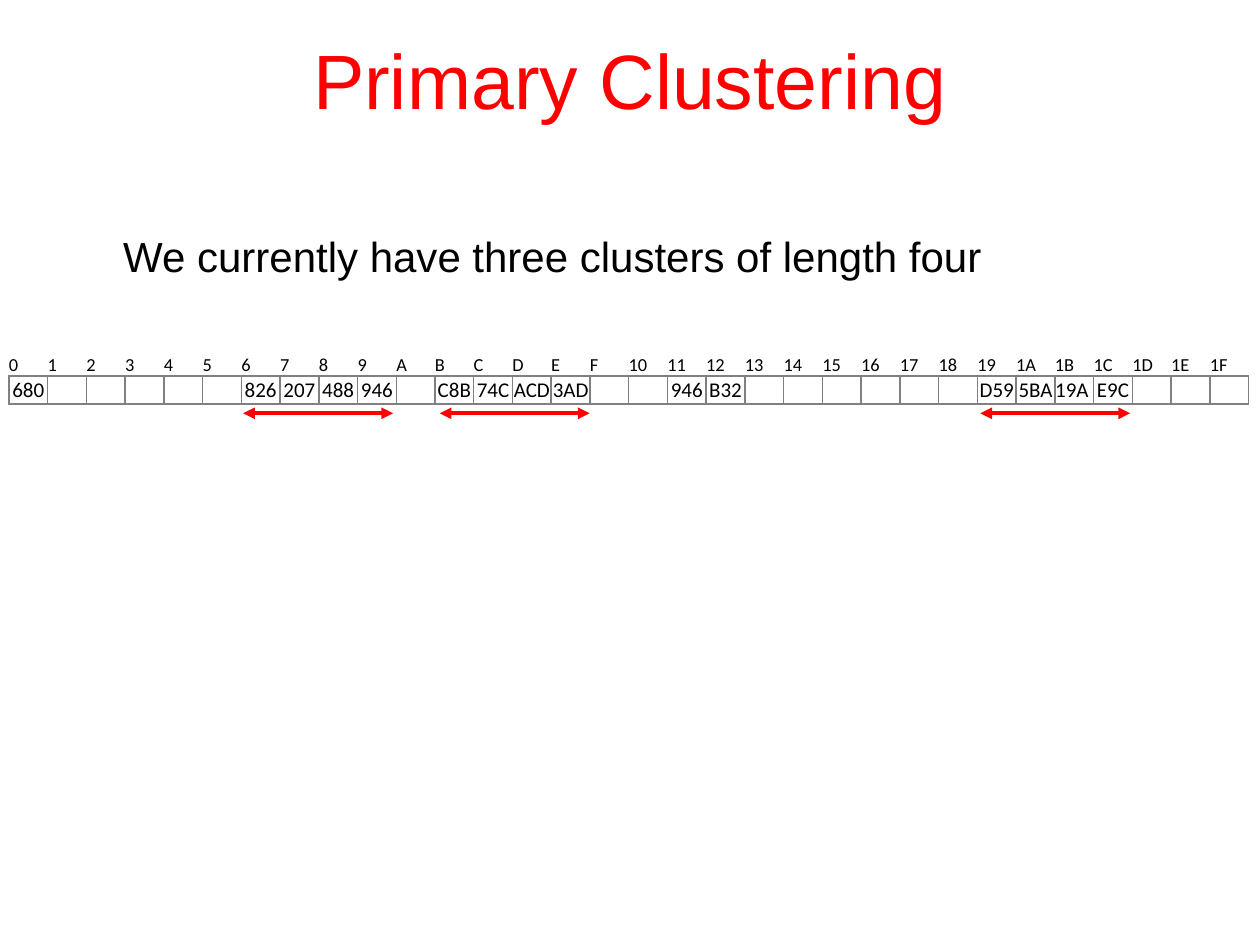
"""Build the Primary Clustering slide with its 32-bin hash table."""
import lxml.etree
import pptx
import pptx.dml.color
import pptx.enum.shapes
import pptx.enum.text
import pptx.oxml
import pptx.oxml.ns
import pptx.util

Inches = pptx.util.Inches
Pt = pptx.util.Pt
qn = pptx.oxml.ns.qn

COLORS = {"text": "000000", "accent": "FF0000", "border": "808080"}
NO_STYLE = "{2D5ABB26-0587-4C30-8999-92F81FD0307C}"
BIN_COUNT = 32
TABLE_WIDTH = 9.85
BIN_VALUES = {
    0x0: "680", 0x6: "826", 0x7: "207", 0x8: "488", 0x9: "946",
    0xB: "C8B", 0xC: "74C", 0xD: "ACD", 0xE: "3AD", 0x11: "946", 0x12: "B32",
    0x19: "D59", 0x1A: "5BA", 0x1B: "19A ", 0x1C: "E9C",
}
CLUSTER_STARTS = (1.93, 3.49, 7.78)
CLUSTER_LENGTH = 1.19
ARROW_TOP = 3.28


def rgb(name):
    return pptx.dml.color.RGBColor.from_string(COLORS[name])


def format_text(paragraph, size, font, color):
    for span in paragraph.runs:
        span.font.size = Pt(size)
        span.font.name = font
        span.font.color.rgb = rgb(color)


def add_text(page, text, place, size, color):
    box = page.shapes.add_textbox(*(Inches(length) for length in place))
    frame = box.text_frame
    frame.word_wrap = True
    frame.text = text
    format_text(frame.paragraphs[0], size, "Arial", color)
    return frame


def add_title(page):
    frame = add_text(page, "Primary Clustering", (0.5, 0, 9, 1.25), 44, "accent")
    frame.vertical_anchor = pptx.enum.text.MSO_ANCHOR.MIDDLE
    frame.paragraphs[0].alignment = pptx.enum.text.PP_ALIGN.CENTER


def add_statement(page):
    text = "\tWe currently have three clusters of length four"
    frame = add_text(page, text, (0.5, 1.75, 9, 4.95), 24, "text")
    frame.margin_top = Inches(0.08)
    properties = frame.paragraphs[0]._p.get_or_add_pPr()
    properties.set("marL", str(Inches(0.38)))
    properties.set("indent", str(Inches(-0.38)))


def set_borders(cell, sides):
    properties = cell._tc.get_or_add_tcPr()
    for side in sides:
        line = lxml.etree.SubElement(properties, qn(f"a:ln{side}"), w=str(Pt(1)))
        fill = lxml.etree.SubElement(line, qn("a:solidFill"))
        lxml.etree.SubElement(fill, qn("a:srgbClr"), val=COLORS["border"])


def fill_cell(cell, text, size, alignment, sides):
    cell.margin_left = cell.margin_right = cell.margin_top = cell.margin_bottom = 0
    cell.vertical_anchor = pptx.enum.text.MSO_ANCHOR.MIDDLE
    set_borders(cell, sides)
    cell.fill.background()
    paragraph = cell.text_frame.paragraphs[0]
    paragraph.alignment = alignment
    if text:
        paragraph.text = text
        format_text(paragraph, size, "Calibri", "text")
    else:
        lxml.etree.SubElement(paragraph._p, qn("a:endParaRPr"), sz=str(size * 100))


def add_hash_table(page):
    frame = page.shapes.add_table(
        2, BIN_COUNT, Inches(0.07), Inches(2.81), Inches(TABLE_WIDTH), Inches(0.38))
    table = frame.table
    table.first_row = table.horz_banding = False
    frame._element.find(".//" + qn("a:tableStyleId")).text = NO_STYLE
    table.rows[0].height = Inches(0.16)
    table.rows[1].height = Inches(0.22)
    align = pptx.enum.text.PP_ALIGN
    for index in range(BIN_COUNT):
        table.columns[index].width = Inches(TABLE_WIDTH / BIN_COUNT)
        fill_cell(table.cell(0, index), f"{index:X}", 10.5, align.LEFT, "B")
        fill_cell(table.cell(1, index), BIN_VALUES.get(index, ""), 12, align.CENTER, "LRTB")


def add_cluster_arrow(page, start):
    arrow = page.shapes.add_connector(
        pptx.enum.shapes.MSO_CONNECTOR.STRAIGHT,
        Inches(start + CLUSTER_LENGTH), Inches(ARROW_TOP), Inches(start), Inches(ARROW_TOP))
    arrow.line.color.rgb = rgb("accent")
    arrow.line.width = Pt(2.25)
    line = arrow.line._get_or_add_ln()
    for end in ("headEnd", "tailEnd"):
        lxml.etree.SubElement(line, qn(f"a:{end}"), type="triangle")
    lxml.etree.SubElement(arrow._element.spPr, qn("a:effectLst"))


def main():
    deck = pptx.Presentation()
    deck.slide_width, deck.slide_height = Inches(10), Inches(7.5)
    page = deck.slides.add_slide(deck.slide_layouts[6])
    add_statement(page)
    add_hash_table(page)
    for start in CLUSTER_STARTS:
        add_cluster_arrow(page, start)
    add_title(page)
    deck.save("out.pptx")


if __name__ == "__main__":
    main()
